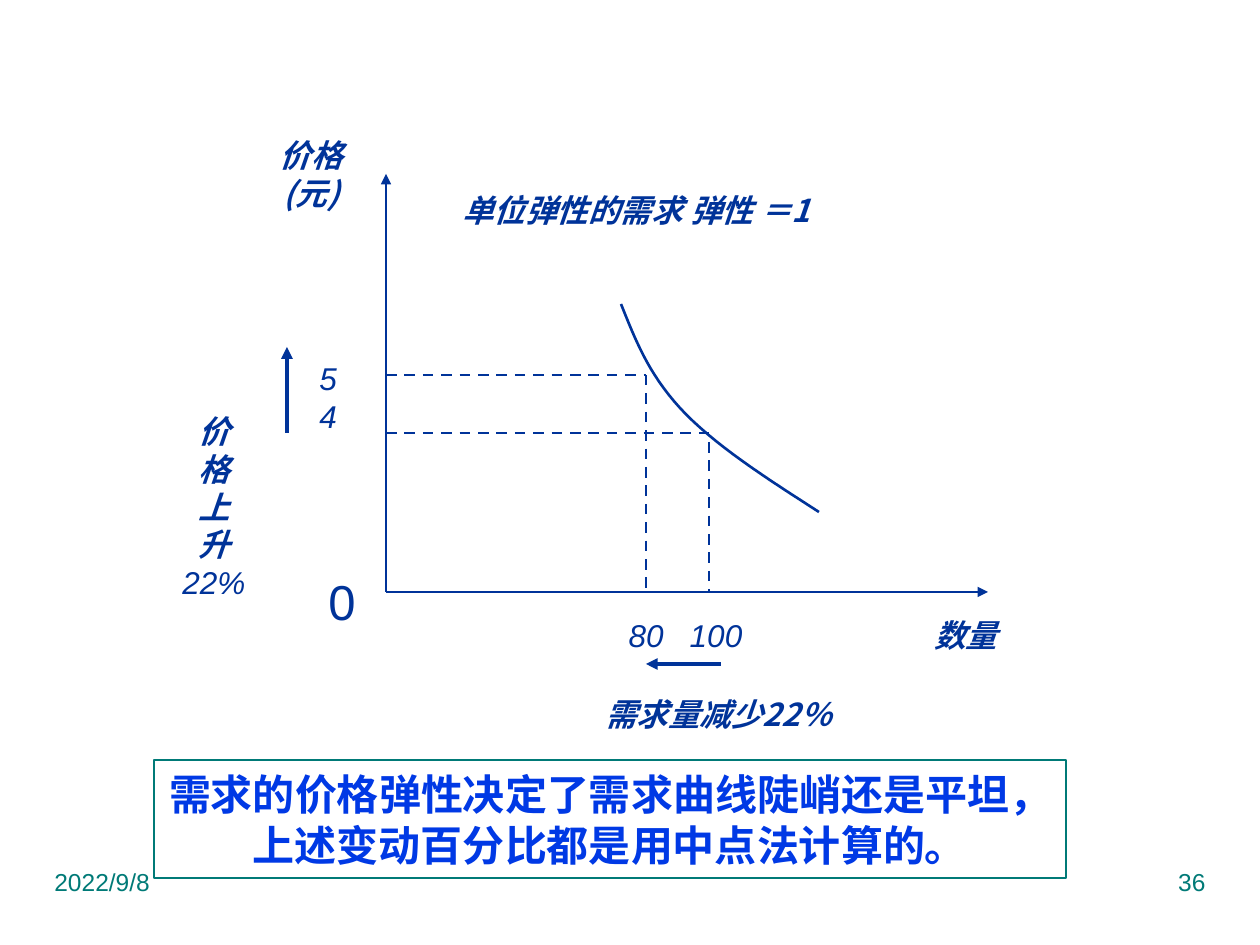
from lxml import etree
from pptx import Presentation, util as u
from pptx.dml.color import RGBColor
from pptx.enum import dml, shapes, text
from pptx.oxml.ns import qn

SCALE = 914400 / 126
COLORS = {"ink": "003399", "teal": "007A77", "caption": "0039E5"}
CJK = "Noto Sans CJK SC"
CENTER, LEFT, RIGHT = text.PP_ALIGN.CENTER, text.PP_ALIGN.LEFT, text.PP_ALIGN.RIGHT


def px(value):
    return u.Emu(round(value * SCALE))


def color(name):
    return RGBColor.from_string(COLORS[name])


def write(shape, lines, size=18, name="Arial", ink="ink", bold=False, italic=False,
          align=CENTER, anchor=text.MSO_ANCHOR.MIDDLE, wrap=False):
    frame = shape.text_frame
    frame.word_wrap = wrap
    frame.vertical_anchor = anchor
    for index, line in enumerate(lines):
        para = frame.add_paragraph() if index else frame.paragraphs[0]
        para.alignment = align
        span = para.add_run()
        span.text = line
        font = span.font
        font.size, font.name, font.bold, font.italic = u.Pt(size), name, bold, italic
        font.color.rgb = color(ink)
    return frame


def add_label(page, box, lines, **style):
    shape = page.shapes.add_textbox(*map(px, box))
    return write(shape, lines, **style)


def add_line(page, start, end, width=1.5, dashed=False, arrow=False):
    line = page.shapes.add_connector(
        shapes.MSO_CONNECTOR.STRAIGHT, *map(px, (*start, *end)))
    line.line.color.rgb = color("ink")
    line.line.width = u.Pt(width)
    if dashed:
        line.line.dash_style = dml.MSO_LINE.DASH
    if arrow:
        etree.SubElement(line.line._get_or_add_ln(), qn("a:tailEnd"), type="triangle")
    etree.SubElement(line._element.spPr, qn("a:effectLst"))


def bezier(points, steps=16):
    for step in range(steps + 1):
        t = step / steps
        weights = ((1 - t) ** 3, 3 * t * (1 - t) ** 2, 3 * t * t * (1 - t), t ** 3)
        yield tuple(sum(w * p[axis] for w, p in zip(weights, points)) for axis in (0, 1))


def add_curve(page, segments):
    points = [tuple(map(px, point)) for segment in segments for point in bezier(segment)]
    builder = page.shapes.build_freeform(*points[0], scale=1.0)
    builder.add_line_segments(points[1:], close=False)
    curve = builder.convert_to_shape()
    curve.shadow.inherit = False
    curve.fill.background()
    curve.line.color.rgb = color("ink")
    curve.line.width = u.Pt(1.5)


def add_demand_chart(page, left, top):
    def at(x, y):
        return left + x, top + y

    def label(x, y, width, height, lines, **style):
        return add_label(page, (*at(x, y), width, height), lines, italic=True, **style)

    axis_x, axis_y = 212, 447
    high_price, low_price = 230, 288
    low_quantity, high_quantity = 472, 535
    for end in ((814, axis_y), (axis_x, 29)):
        add_line(page, at(axis_x, axis_y), at(*end), arrow=True)
    for quantity, price in ((low_quantity, high_price), (high_quantity, low_price)):
        add_line(page, at(axis_x, price), at(quantity, price), dashed=True)
    add_line(page, at(low_quantity, high_price), at(low_quantity, axis_y), dashed=True)
    add_line(page, at(high_quantity, 297), at(high_quantity, axis_y), dashed=True)
    add_curve(page, (
        [at(447, 159), at(461, 194), at(474, 228), at(506, 263)],
        [at(506, 263), at(539, 299), at(592, 333), at(645, 367)]))
    add_line(page, at(547, 519), at(low_quantity, 519), 2.25, arrow=True)
    add_line(page, at(113, low_price), at(113, 202), 2.25, arrow=True)

    label(748, 461, 113, 58, ["数量"], bold=True, align=LEFT)
    label(81, 0, 113, 58, ["价格", "(元)"], name=CJK, bold=True)
    label(276, 14, 571, 101, ["单位弹性的需求 弹性 ＝1"], name=CJK, bold=True, align=LEFT)
    label(341, 533, 407, 72, ["需求量减少22％"], name=CJK, bold=True)
    label(113, 187, 82, 130, ["5", "4"])
    for center, quantity in ((low_quantity, "80"), (542, "100")):
        label(center - 55, 461, 110, 58, [quantity])
    rise = label(-21, 246, 122, 231, ["价", "格", "上", "升", "22%"], bold=True)
    rise.paragraphs[-1].runs[0].font.bold = False
    add_label(page, (*at(128, 436), 80, 39), ["0"], size=28)


def add_caption(page, box):
    panel = page.shapes.add_shape(shapes.MSO_SHAPE.RECTANGLE, *map(px, box))
    panel.shadow.inherit = False
    panel.fill.background()
    panel.line.color.rgb = color("teal")
    panel.line.width = u.Pt(0.75)
    write(panel, ["需求的价格弹性决定了需求曲线陡峭还是平坦，",
                  "上述变动百分比都是用中点法计算的。"],
          size=24, ink="caption", bold=True)


def add_footer(page, left, top, width):
    field = 315
    for x, words, align in ((left, "2022/9/8", LEFT), (left + width - field, "36", RIGHT)):
        add_label(page, (x, top, field, 66), [words], size=14, ink="teal", align=align,
                  anchor=text.MSO_ANCHOR.TOP, wrap=True)


def main():
    deck = Presentation()
    deck.slide_width, deck.slide_height = px(1260), px(945)
    page = deck.slides.add_slide(deck.slide_layouts[6])
    add_footer(page, 42, 861, 1176)
    add_demand_chart(page, 174, 145)
    add_caption(page, (154, 760, 912, 118))
    deck.save("out.pptx")


if __name__ == "__main__":
    main()
